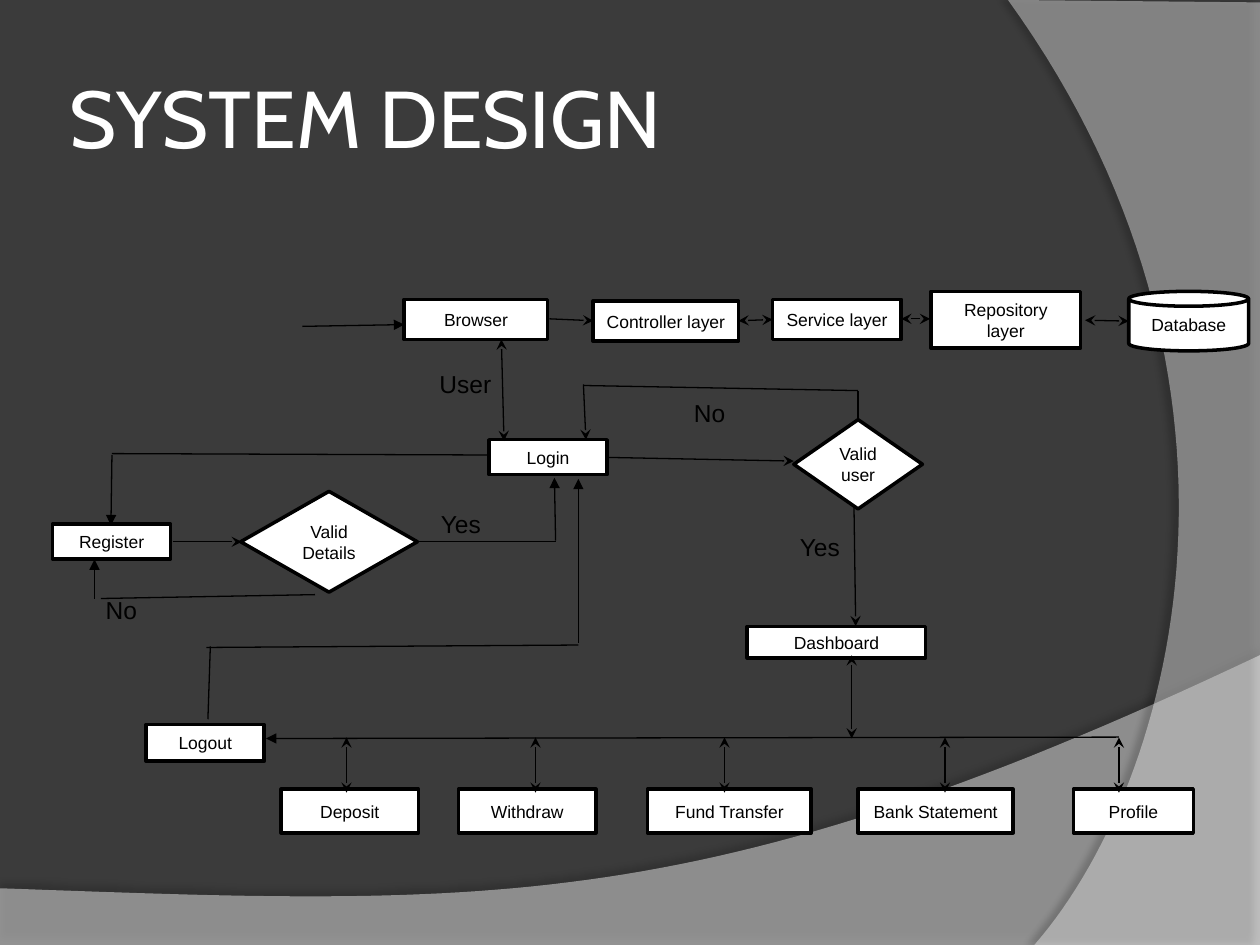
from pptx import Presentation
from pptx.dml.color import RGBColor
from pptx.enum.shapes import MSO_CONNECTOR, MSO_SHAPE as Shape
from pptx.enum.text import MSO_ANCHOR as Anchor, MSO_AUTO_SIZE as AutoSize, PP_ALIGN as Align
from pptx.oxml.ns import qn
from pptx.util import Pt
from lxml.etree import SubElement

DARK = RGBColor(0x3B, 0x3B, 0x3B)
WHITE = RGBColor(0xFF, 0xFF, 0xFF)
BLACK = RGBColor(0, 0, 0)


def set_text(sp, text, size=10, font="Arial", color=BLACK, align=Align.LEFT,
             anchor=Anchor.TOP, inset=7.2, auto=AutoSize.NONE):
    tf = sp.text_frame
    tf.word_wrap = True
    tf.auto_size = auto
    tf.vertical_anchor = anchor
    tf.margin_left = tf.margin_right = Pt(inset)
    tf.margin_top = tf.margin_bottom = Pt(3.6)
    p = tf.paragraphs[0]
    p.alignment = align
    r = p.add_run()
    r.text = text
    r.font.size = Pt(size)
    r.font.name = font
    r.font.color.rgb = color


def place(box, x, y):
    return Pt(box[0] + x), Pt(box[1] + y)


def add_node(s, box, text, x, y, w, h, kind=Shape.RECTANGLE):
    sp = s.shapes.add_shape(kind, *place(box, x, y), Pt(w), Pt(h))
    sp.shadow.inherit = False
    sp.fill.solid()
    sp.fill.fore_color.rgb = WHITE
    sp.line.color.rgb = BLACK
    sp.line.width = Pt(2)
    set_text(sp, text, align=Align.CENTER, anchor=Anchor.MIDDLE)


def add_label(s, box, text, x, y, w):
    sp = s.shapes.add_textbox(*place(box, x, y), Pt(w), Pt(24))
    set_text(sp, text, size=14, auto=AutoSize.SHAPE_TO_FIT_TEXT)


def add_line(s, box, start, end, tail=None, head=None):
    c = s.shapes.add_connector(MSO_CONNECTOR.STRAIGHT, *place(box, *start), *place(box, *end))
    c.line.color.rgb = BLACK
    c.line.width = Pt(0.75)
    ln = c._element.spPr.find(qn("a:ln"))
    for tag, arrow in (("a:headEnd", head), ("a:tailEnd", tail)):
        if arrow:
            SubElement(ln, qn(tag), type=arrow)
    SubElement(c._element.spPr, qn("a:effectLst"))


def bezier(p0, p1, p2, p3, steps=60):
    for i in range(1, steps + 1):
        t = i / steps
        u = 1 - t
        yield tuple(u**3 * a + 3 * u * u * t * b + 3 * u * t * t * c + t**3 * d
                    for a, b, c, d in zip(p0, p1, p2, p3))


def add_wave(s, corners, curve, opacity, shadow_opacity, shadow_angle):
    """Translucent background area behind the title, closed by a curve."""
    points = [(Pt(x), Pt(y)) for x, y in [*corners, *bezier(corners[-1], *curve)]]
    builder = s.shapes.build_freeform(*points[0])
    builder.add_line_segments(points[1:], close=True)
    sp = builder.convert_to_shape()
    sp.fill.solid()
    sp.fill.fore_color.rgb = WHITE
    sp.line.fill.background()
    sp.shadow.inherit = False
    spPr = sp._element.spPr
    SubElement(spPr.find(f"{qn('a:solidFill')}/{qn('a:srgbClr')}"),
               qn("a:alpha"), val=str(opacity * 1000))
    shadow = SubElement(spPr.find(qn("a:effectLst")), qn("a:outerShdw"),
                        blurRad=str(Pt(4)), dist=str(Pt(4)),
                        dir=str(shadow_angle * 60000), rotWithShape="0")
    clr = SubElement(shadow, qn("a:srgbClr"), val=str(BLACK))
    SubElement(clr, qn("a:alpha"), val=str(shadow_opacity * 1000))
    s.shapes.title._element.addprevious(sp._element)


def add_background(s, w, h):
    s.background.fill.solid()
    s.background.fill.fore_color.rgb = DARK
    add_wave(s, [(0, 507.6), (0, h), (w, h), (w, 374.4)],
             [(402.5, 524.9), (281.5, 517.7), (0, 507.6)], 45, 35, 270)
    add_wave(s, [(w, 1.4), (w, h), (591.1, h)],
             [(673.2, 445.7), (732.2, 216), (576, 0)], 40, 45, 180)


def add_title(s, text, x, y, w, h):
    sp = s.shapes.title
    sp.left, sp.top, sp.width, sp.height = Pt(x), Pt(y), Pt(w), Pt(h)
    set_text(sp, text, size=46, font="Cabin", color=WHITE, anchor=Anchor.MIDDLE, inset=3.6)


def add_layers(s, box):
    """Row from the browser to the database."""
    for node in (("Browser", 59, 5, 82, 23),
                 ("Controller layer", 167, 6, 83, 23),
                 ("Service layer", 269.5, 5, 73.5, 23),
                 ("Repository layer", 360, 0.5, 85.5, 32.5),
                 ("Database", 473, 0.5, 68.5, 34, Shape.CAN)):
        add_node(s, box, *node)
    add_line(s, box, (0.8, 20.5), (59, 19.5), "triangle")
    add_line(s, box, (142, 16.2), (167, 17.3), "stealth")
    for start, end in (((250, 17.3), (269.5, 16.6)),
                       ((343, 16.2), (359.5, 16.2)),
                       ((448, 17), (473, 17.5))):
        add_line(s, box, start, end, "stealth", "stealth")


def add_login_flow(s, box):
    for node in (("Register", 0, 105.5, 67.5, 20),
                 ("Login", 249.4, 57.3, 67.5, 20),
                 ("Valid user", 423.6, 45.8, 73.5, 51, Shape.DIAMOND),
                 ("Valid Details", 107.5, 86.8, 101, 57.6, Shape.DIAMOND)):
        add_node(s, box, *node)
    for label in (("User", 214, 13.4, 57), ("No", 359.5, 30, 55), ("Yes", 420, 106.2, 72),
                  ("Yes", 214.8, 93.3, 57), ("No", 23.3, 142.2, 55)):
        add_label(s, box, *label)
    for line in (
            # browser, login, valid user, dashboard
            ((258, 58), (256.5, 0), "stealth", "stealth"),
            ((317.8, 67.4), (423.6, 69.5), "stealth"),
            ((458, 94.7), (459, 163.8), "stealth"),
            # invalid user back to login
            ((460.3, 29.2), (460.3, 45.8)),
            ((303.4, 26.3), (460.3, 29.2)),
            ((303.4, 25.6), (304.8, 57.3), "stealth"),
            # login to register and its details
            ((34, 65.2), (249.4, 66)),
            ((34, 66), (33.4, 106.2), "triangle"),
            ((68.6, 115.6), (108.2, 115.6), "stealth"),
            # valid details to login, invalid ones to register
            ((209, 115.6), (287.5, 115.6)),
            ((287.5, 115), (286.8, 79), "triangle"),
            ((27.6, 148), (150, 145.8)),
            ((24, 148), (24, 125.7), "triangle"),
            # logout to login
            ((88.8, 217), (90.2, 175.4)),
            ((88, 176), (300.5, 174.6)),
            ((300.5, 173.2), (300.5, 79.6), "triangle")):
        add_line(s, box, *line)


def add_dashboard_menu(s, box):
    add_node(s, box, "Dashboard", 344, 0, 102, 18)
    add_node(s, box, "Logout", 0.5, 56, 67.5, 21)
    add_line(s, box, (556.4, 63.2), (69, 64), "triangle")
    add_line(s, box, (403.7, 64), (403.7, 16.4), "stealth", "stealth")
    for text, x, w, arrow_x in (("Deposit", 77.6, 78.5, 115),
                                ("Withdraw", 179, 78.5, 223),
                                ("Fund Transfer", 287, 93.6, 331),
                                ("Bank Statement", 407.3, 88.6, 457),
                                ("Profile", 530.4, 68.5, 556.4)):
        add_node(s, box, text, x, 93, w, 25)
        add_line(s, box, (arrow_x, 95), (arrow_x, 63.4), "stealth", "stealth")


def main():
    prs = Presentation()
    prs.slide_width, prs.slide_height = Pt(720), Pt(540)
    s = prs.slides.add_slide(prs.slide_layouts[5])
    add_background(s, 720, 540)
    add_title(s, "SYSTEM DESIGN", 36, 21.6, 588, 90)
    add_layers(s, (172, 166))
    add_login_flow(s, (30, 194))
    add_dashboard_menu(s, (83, 358))
    prs.save("out.pptx")


if __name__ == "__main__":
    main()
